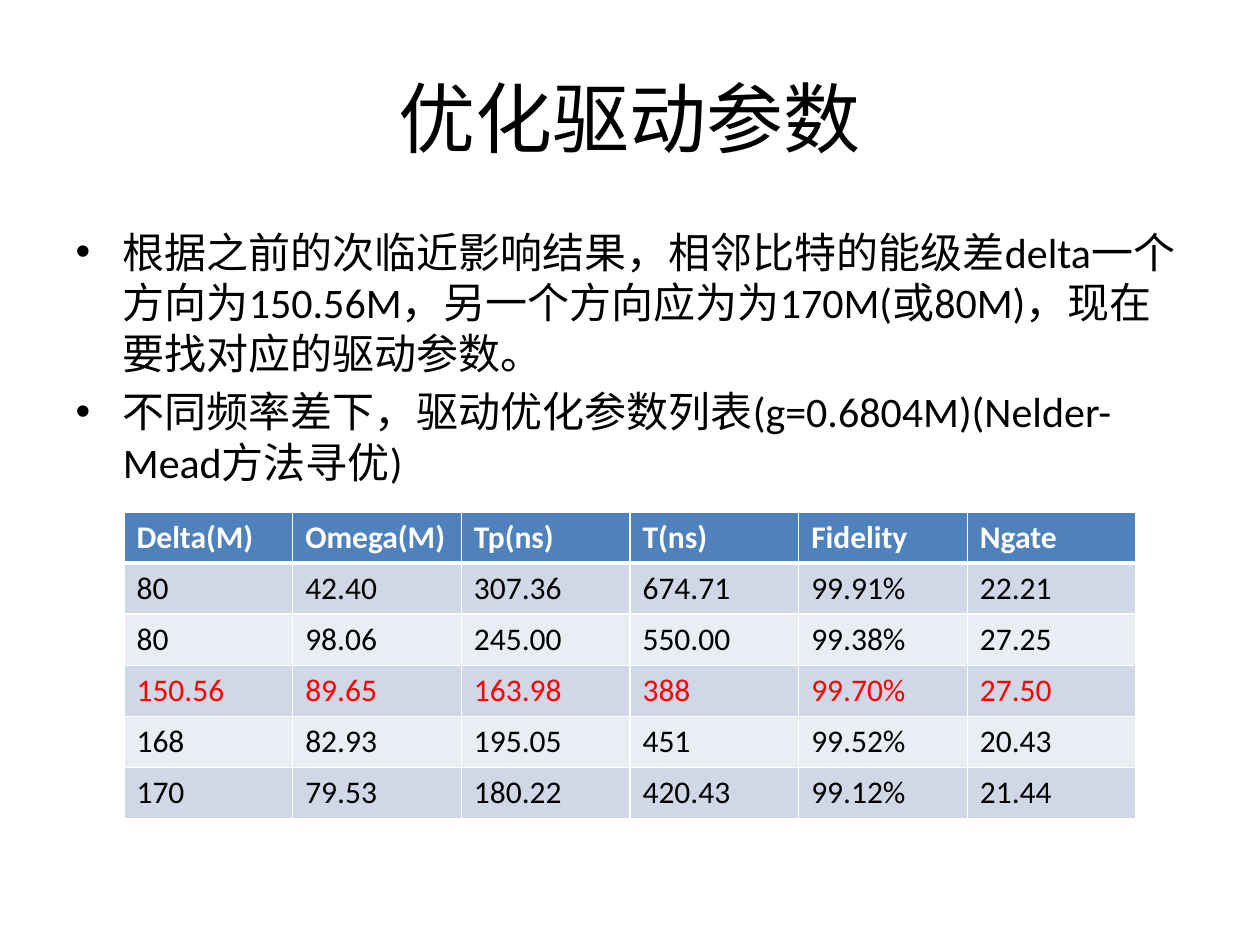
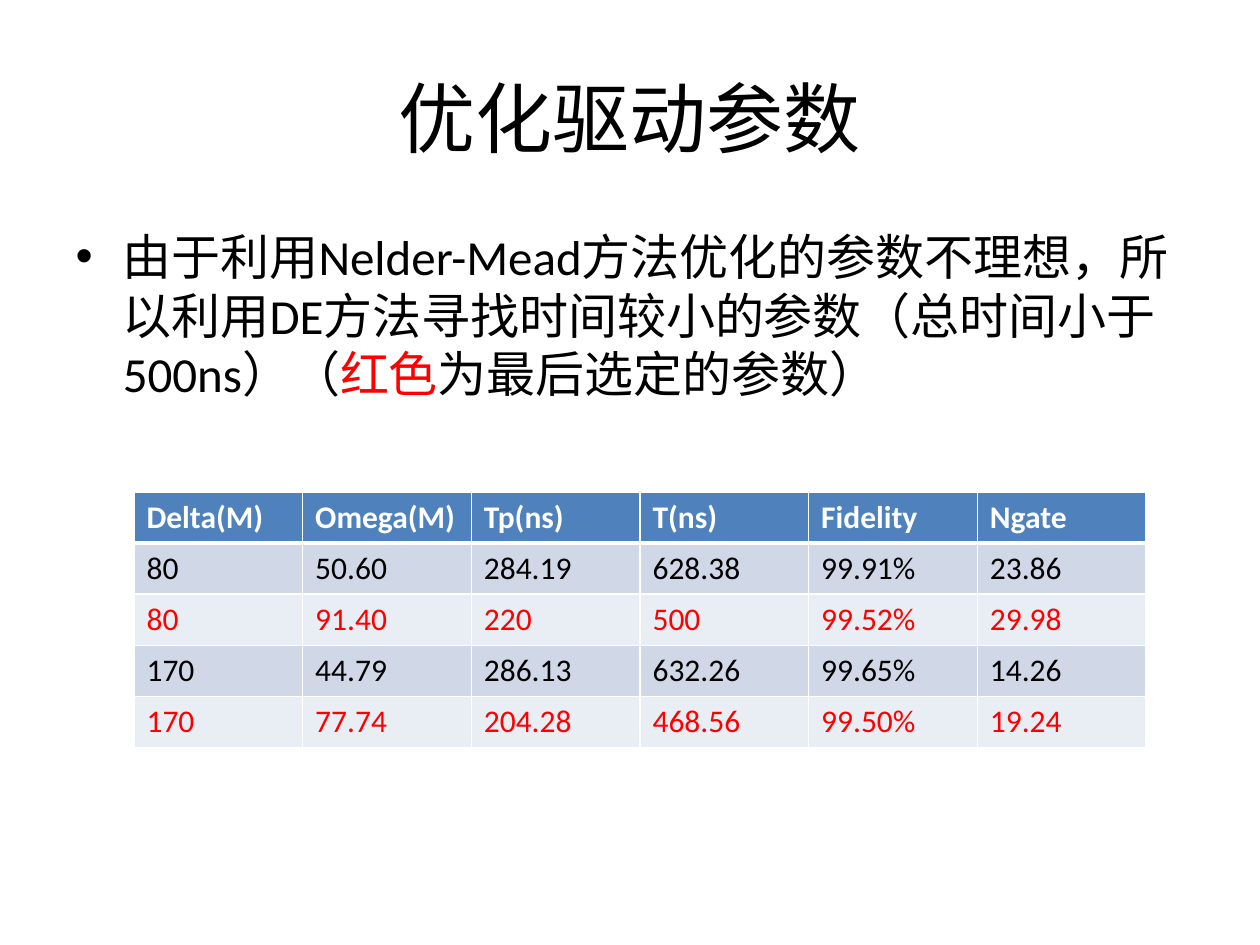
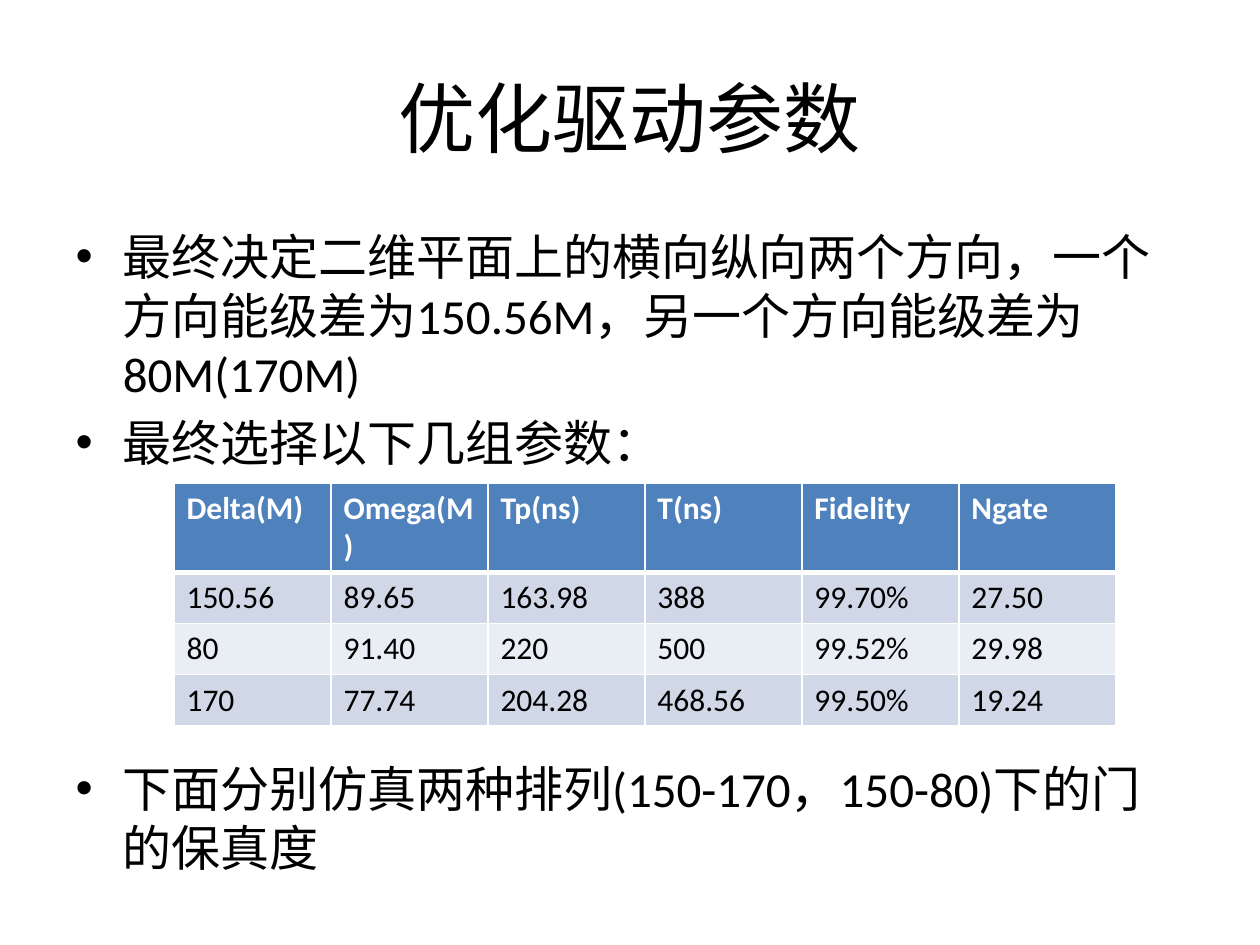
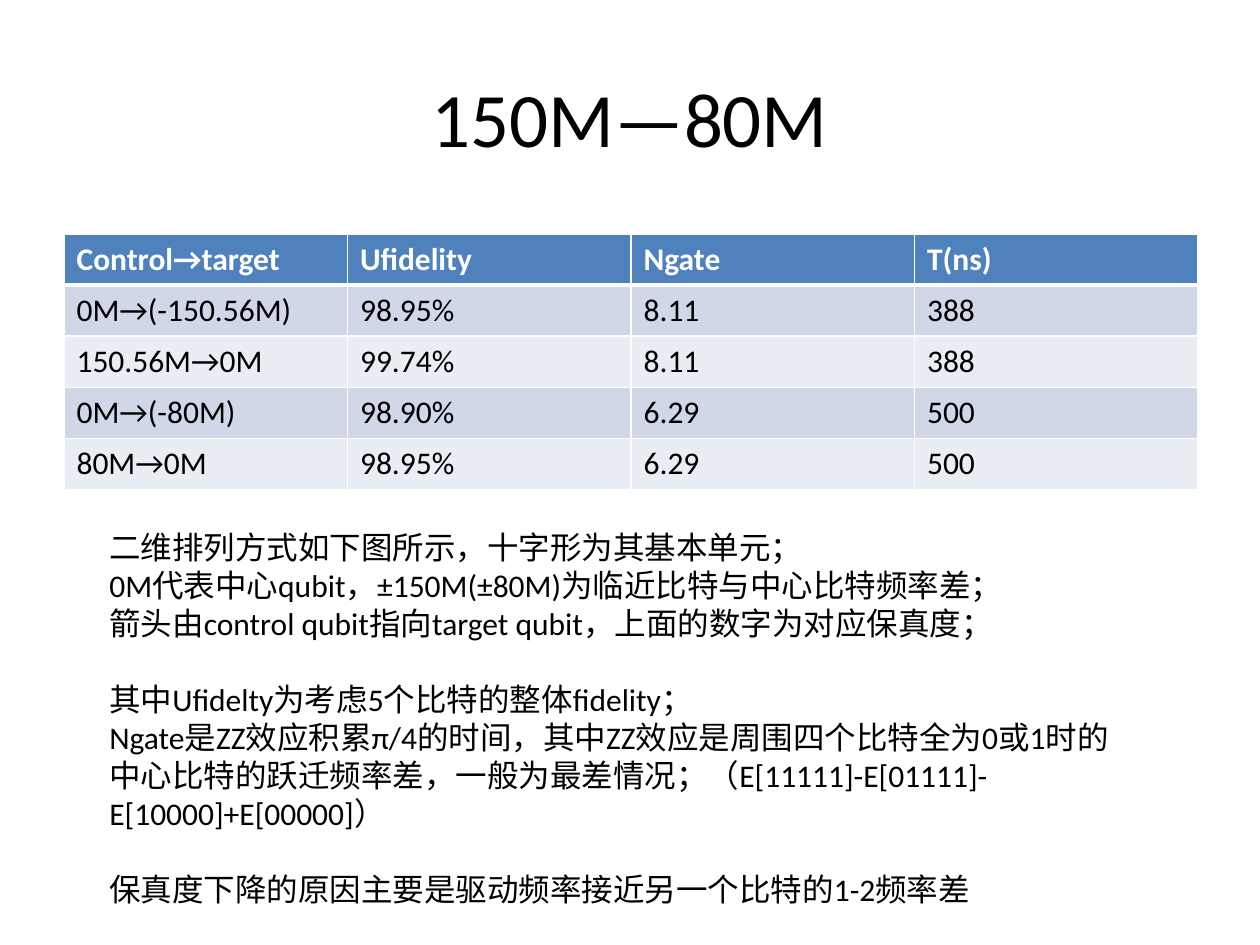
import pptx
import pptx.util
import pptx.dml.color
import pptx.enum.text
import pptx.oxml
import pptx.oxml.ns

PIXELS_PER_INCH = 126
FONT = "Calibri"
BLACK = pptx.dml.color.RGBColor(0x00, 0x00, 0x00)
WHITE = pptx.dml.color.RGBColor(0xFF, 0xFF, 0xFF)
RED = pptx.dml.color.RGBColor(0xFF, 0x00, 0x00)
HEADER_BLUE = pptx.dml.color.RGBColor(0x4F, 0x81, 0xBD)
BANDS = (
    pptx.dml.color.RGBColor(0xD0, 0xD8, 0xE8),
    pptx.dml.color.RGBColor(0xE9, 0xED, 0xF4),
)
TITLE_AREA = (63, 38, 1134, 158)
BODY_AREA = (63, 220, 1134, 624)
ROW_HEIGHT = 51
TITLE_ONLY, TITLE_AND_BODY = 5, 1


def emu(pixels):
    """Turn pixels into EMU."""
    return round(pixels * pptx.util.Inches(1) / PIXELS_PER_INCH)


class SlideWriter:
    """Holds the shared style and the current slide."""

    def __init__(self):
        """Start an empty 4:3 deck."""
        self.deck = pptx.Presentation()
        self.deck.slide_width = pptx.util.Inches(10)
        self.deck.slide_height = pptx.util.Inches(7.5)
        self.slide = None

    def place(self, shape, left, top, width, height):
        """Move and size a shape."""
        shape.left, shape.top = emu(left), emu(top)
        shape.width, shape.height = emu(width), emu(height)

    def style(self, para, size, color=BLACK, bold=False):
        """Format every run of a paragraph."""
        for run in para.runs:
            run.font.name = FONT
            run.font.size = pptx.util.Pt(size)
            run.font.bold = bold
            run.font.color.rgb = color

    def new_slide(self, title, layout=TITLE_AND_BODY):
        """Add a slide with its centred title."""
        self.slide = self.deck.slides.add_slide(self.deck.slide_layouts[layout])
        shape = self.slide.shapes.title
        self.place(shape, *TITLE_AREA)
        frame = shape.text_frame
        frame.text = title
        frame.vertical_anchor = pptx.enum.text.MSO_ANCHOR.MIDDLE
        frame.paragraphs[0].alignment = pptx.enum.text.PP_ALIGN.CENTER
        self.style(frame.paragraphs[0], 44)

    def fill_text(self, frame, lines, size, gaps):
        """Write one paragraph a line; gaps maps a line to its space before."""
        frame.text = "\n".join(lines)
        frame.word_wrap = True
        for index, para in enumerate(frame.paragraphs):
            self.style(para, size)
            if index in gaps:
                para.space_before = pptx.util.Pt(gaps[index])

    def bullets(self, lines, size, gaps={}):
        """Fill the body placeholder with a bulleted list."""
        body = self.slide.placeholders[1]
        self.place(body, *BODY_AREA)
        self.fill_text(body.text_frame, lines, size, gaps)
        body.text_frame.auto_size = pptx.enum.text.MSO_AUTO_SIZE.NONE
        return body.text_frame

    def highlight(self, para, word, size):
        """Show one word of a paragraph in red."""
        before, word, after = para.text.partition(word)
        para.text = before
        for text in (word, after):
            para.add_run().text = text
        self.style(para, size)
        para.runs[1].font.color.rgb = RED

    def note(self, area, lines, size, gaps):
        """Add a plain text box."""
        box = self.slide.shapes.add_textbox(*map(emu, area))
        self.fill_text(box.text_frame, lines, size, gaps)
        box.text_frame.auto_size = pptx.enum.text.MSO_AUTO_SIZE.SHAPE_TO_FIT_TEXT

    def border(self, cell, **widths):
        """Draw white cell borders, widths in points by side (L, R, T, B)."""
        properties = cell._tc.get_or_add_tcPr()
        for position, (side, width) in enumerate(widths.items()):
            line = pptx.oxml.parse_xml(
                f'<a:ln{side} {pptx.oxml.ns.nsdecls("a")} w="{pptx.util.Pt(width)}">'
                f'<a:solidFill><a:srgbClr val="{WHITE}"/></a:solidFill></a:ln{side}>'
            )
            properties.insert(position, line)

    def table(self, left, top, width, rows, red_rows=()):
        """Add a banded table whose first row is the header."""
        columns = len(rows[0])
        table = self.slide.shapes.add_table(
            len(rows), columns, emu(left), emu(top),
            emu(width), emu(ROW_HEIGHT * len(rows)),
        ).table
        for column in table.columns:
            column.width = emu(width / columns)
        for row_index, values in enumerate(rows):
            header = row_index == 0
            fill = HEADER_BLUE if header else BANDS[(row_index - 1) % 2]
            color = WHITE if header else RED if row_index in red_rows else BLACK
            for column_index, value in enumerate(values):
                cell = table.cell(row_index, column_index)
                cell.text = value
                cell.fill.solid()
                cell.fill.fore_color.rgb = fill
                self.style(cell.text_frame.paragraphs[0], 18, color, header)
                self.border(cell, L=1, R=1, T=3 if row_index == 1 else 1,
                            B=3 if header else 1)


PARAMETER_TITLE = "优化驱动参数"
PARAMETER_HEADER = ("Delta(M)", "Omega(M)", "Tp(ns)", "T(ns)", "Fidelity", "Ngate")
CHOSEN_150 = ("150.56", "89.65", "163.98", "388", "99.70%", "27.50")
CHOSEN_80 = ("80", "91.40", "220", "500", "99.52%", "29.98")
CHOSEN_170 = ("170", "77.74", "204.28", "468.56", "99.50%", "19.24")

writer = SlideWriter()

writer.new_slide(PARAMETER_TITLE)
writer.bullets([
    "根据之前的次临近影响结果，相邻比特的能级差delta一个方向为150.56M，"
    "另一个方向应为为170M(或80M)，现在要找对应的驱动参数。",
    "不同频率差下，驱动优化参数列表(g=0.6804M)(Nelder-Mead方法寻优)",
], 24)
writer.table(124, 512, 1012, [
    PARAMETER_HEADER,
    ("80", "42.40", "307.36", "674.71", "99.91%", "22.21"),
    ("80", "98.06", "245.00", "550.00", "99.38%", "27.25"),
    CHOSEN_150,
    ("168", "82.93", "195.05", "451", "99.52%", "20.43"),
    ("170", "79.53", "180.22", "420.43", "99.12%", "21.44"),
], red_rows=(3,))

writer.new_slide(PARAMETER_TITLE)
body_frame = writer.bullets([
    "由于利用Nelder-Mead方法优化的参数不理想，所以利用DE方法寻找时间较小的参数"
    "（总时间小于500ns）（红色为最后选定的参数）",
], 28)
writer.highlight(body_frame.paragraphs[0], "红色", 28)
writer.table(134, 492, 1012, [
    PARAMETER_HEADER,
    ("80", "50.60", "284.19", "628.38", "99.91%", "23.86"),
    CHOSEN_80,
    ("170", "44.79", "286.13", "632.26", "99.65%", "14.26"),
    CHOSEN_170,
], red_rows=(2, 4))

writer.new_slide(PARAMETER_TITLE)
writer.bullets([
    "最终决定二维平面上的横向纵向两个方向，一个方向能级差为150.56M，"
    "另一个方向能级差为80M(170M)",
    "最终选择以下几组参数：",
    "下面分别仿真两种排列(150-170，150-80)下的门的保真度",
], 28, gaps={2: 164})
writer.table(174, 483, 942, [PARAMETER_HEADER, CHOSEN_150, CHOSEN_80, CHOSEN_170])

writer.new_slide("150M—80M", TITLE_ONLY)
writer.table(64, 234, 1134, [
    ("Control→target", "Ufidelity", "Ngate", "T(ns)"),
    ("0M→(-150.56M)", "98.95%", "8.11", "388"),
    ("150.56M→0M", "99.74%", "8.11", "388"),
    ("0M→(-80M)", "98.90%", "6.29", "500"),
    ("80M→0M", "98.95%", "6.29", "500"),
])
writer.note((97, 522, 1032, 394), [
    "二维排列方式如下图所示，十字形为其基本单元；",
    "0M代表中心qubit，±150M(±80M)为临近比特与中心比特频率差；",
    "箭头由control qubit指向target qubit，上面的数字为对应保真度；",
    "其中Ufidelty为考虑5个比特的整体fidelity；",
    "Ngate是ZZ效应积累π/4的时间，其中ZZ效应是周围四个比特全为0或1时的"
    "中心比特的跃迁频率差，一般为最差情况；（E[11111]-E[01111]-E[10000]+E[00000]）",
    "保真度下降的原因主要是驱动频率接近另一个比特的1-2频率差",
], 18, gaps={3: 22, 5: 22})

writer.deck.save("out.pptx")
